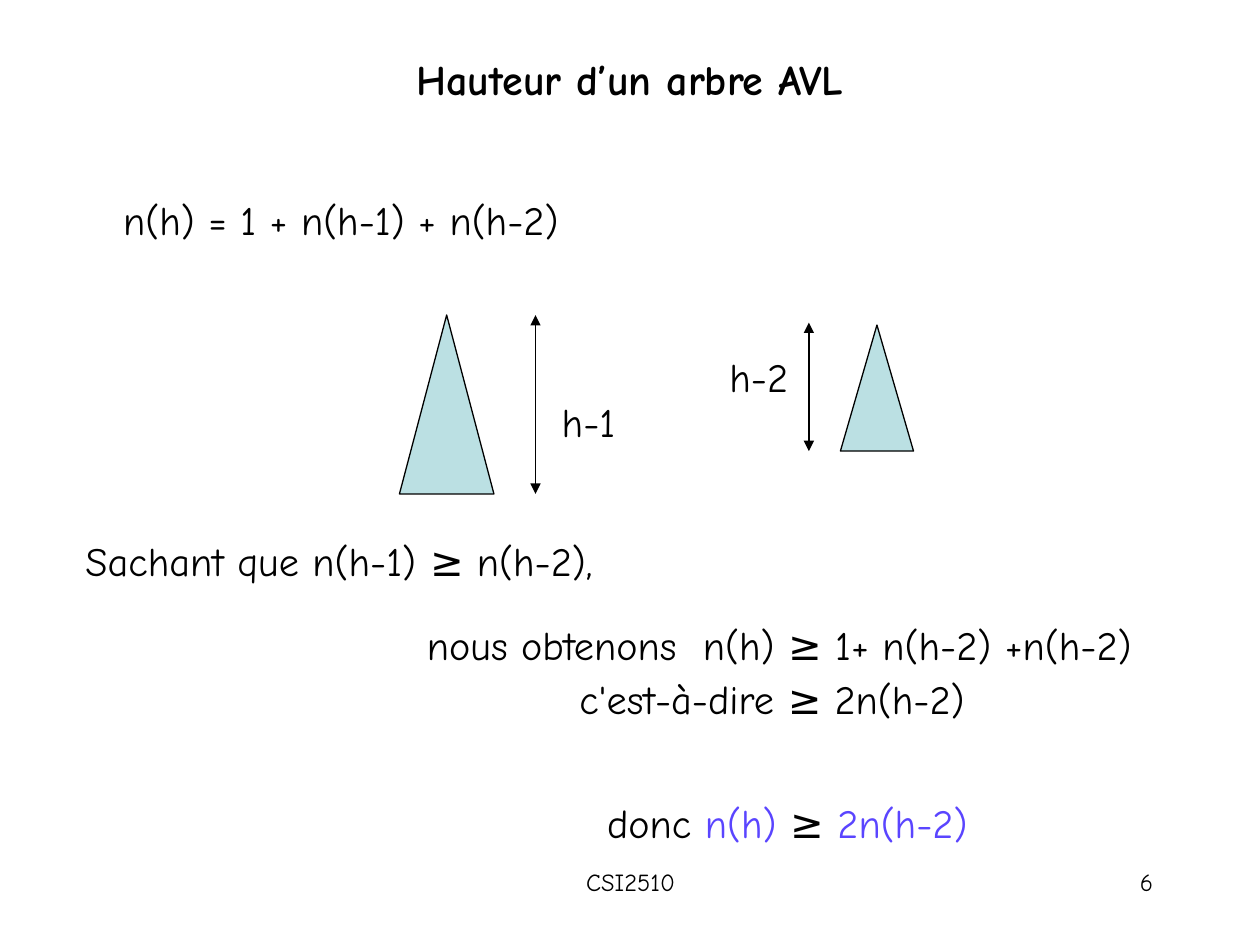
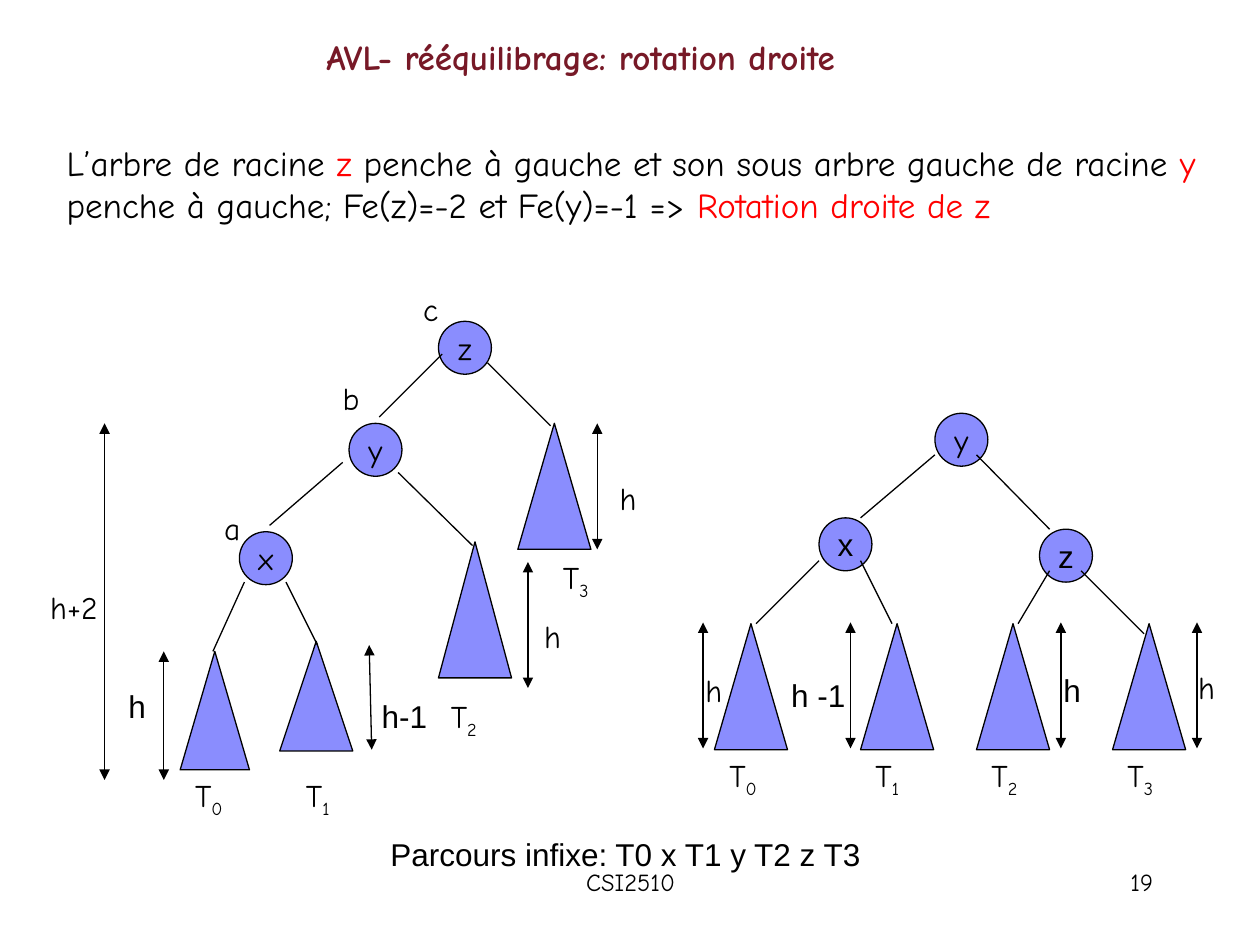
import pptx
import pptx.dml.color
import pptx.enum.shapes
import pptx.enum.text
import pptx.oxml
import pptx.oxml.ns
import pptx.util

COLORS = {
    "ink": "000000",
    "title": "771927",
    "accent": "5A45FF",
    "alert": "FF0000",
    "pale": "BBE0E3",
    "violet": "8A8DFE",
}
COMIC, ARIAL = "Comic Neue", "Arial"
SHAPES = pptx.enum.shapes.MSO_SHAPE
ALIGN = pptx.enum.text.PP_ALIGN
MIDDLE = pptx.enum.text.MSO_ANCHOR.MIDDLE
INK_RUN = {"size": 18, "name": COMIC, "bold": False, "color": "ink", "baseline": 0}
FORMULA = {"size": 23}
FORMULA_LINE = {"line_spacing": 0.9}
NODE_SIZE = 0.42
LABEL_WIDTH, LABEL_HEIGHT = 0.75, 0.4

LEFT_TREE = {
    "nodes": [("z", 3.48, 0.55, COMIC), ("y", 2.77, 1.36, COMIC), ("x", 1.9, 2.22, COMIC)],
    "subtrees": [
        (1.43, 3.17, 0.55, 0.94),
        (2.22, 3.09, 0.58, 0.87),
        (3.48, 2.3, 0.58, 1.08),
        (4.11, 1.36, 0.58, 1),
    ],
    "edges": [
        (3.51, 0.81, 3.01, 1.31),
        (3.87, 0.88, 4.37, 1.38),
        (2.72, 1.67, 2.14, 2.17),
        (3.16, 1.75, 3.75, 2.33),
        (1.94, 2.62, 1.69, 3.17),
        (2.27, 2.62, 2.52, 3.12),
    ],
    "heights": [
        (0.83, 1.36, 0.83, 4.19),
        (1.3, 3.17, 1.3, 4.19),
        (2.93, 3.12, 2.95, 3.95),
        (4.19, 2.46, 4.19, 3.46),
        (4.74, 1.36, 4.74, 2.36),
    ],
    "names": [(1.45, 4.11), (2.33, 4.11), (3.48, 3.48), (4.37, 2.38)],
    "labels": [
        ("a", 1.68, 1.99, COMIC),
        ("b", 2.62, 0.96, COMIC),
        ("c", 3.26, 0.25, COMIC),
        ("h+2", 0.3, 2.62, COMIC),
        ("h", 0.92, 3.4, ARIAL),
        ("h-1", 2.93, 3.48, ARIAL),
        ("h", 4.22, 2.85, COMIC),
        ("h", 4.82, 1.75, COMIC),
    ],
}
RIGHT_SUBTREES = (0.67, 1.83, 2.75, 3.83)
RIGHT_TREE = {
    "nodes": [("y", 2.42, 0.28, COMIC), ("x", 1.5, 1.11, ARIAL), ("z", 3.25, 1.2, ARIAL)],
    "subtrees": [(x, 1.95, 0.58, 1) for x in RIGHT_SUBTREES],
    "edges": [
        (2.42, 0.61, 1.83, 1.11),
        (2.75, 0.61, 3.33, 1.2),
        (1.5, 1.45, 1, 1.95),
        (1.83, 1.45, 2.08, 1.95),
        (3.33, 1.53, 3.08, 1.95),
        (3.58, 1.53, 4.08, 2.03),
    ],
    "heights": [(x, 1.94, x, 2.94) for x in (0.58, 1.75, 3.42, 4.5)],
    "names": [(x + 0.02, 2.95) for x in RIGHT_SUBTREES],
    "labels": [
        ("h", 0.5, 2.28, COMIC),
        ("h -1", 1.18, 2.32, ARIAL),
        ("h", 3.34, 2.28, ARIAL),
        ("h", 4.41, 2.25, COMIC),
    ],
}


def rgb(color):
    """Turn a palette name into a colour."""
    return pptx.dml.color.RGBColor.from_string(COLORS[color])


def inches(lengths):
    """Turn numbers into lengths."""
    return [pptx.util.Inches(length) for length in lengths]


def fill_paragraph(para, runs, base):
    """Write (text, format) runs in a paragraph over a base format."""
    for text, changes in runs:
        values = {**INK_RUN, **base, **changes}
        span = para.add_run()
        span.text = text
        font_values = {
            "size": pptx.util.Pt(values["size"]),
            "name": values["name"],
            "bold": values["bold"],
        }
        for key, value in font_values.items():
            setattr(span.font, key, value)
        span.font.color.rgb = rgb(values["color"])
        if values["baseline"]:
            span._r.get_or_add_rPr().set("baseline", str(values["baseline"]))


def add_text(page, box, runs, base=None, line=None, **frame_values):
    """Add a text box with one paragraph and return its frame."""
    frame = page.shapes.add_textbox(*inches(box)).text_frame
    for key, value in {"word_wrap": True, **frame_values}.items():
        setattr(frame, key, value)
    para = frame.paragraphs[0]
    for key, value in (line or {}).items():
        setattr(para, key, value)
    fill_paragraph(para, runs, base or {})
    return frame


def add_shape(page, kind, box, color):
    """Add a filled shape with a thin outline."""
    shape = page.shapes.add_shape(kind, *inches(box))
    shape.shadow.inherit = False
    shape.fill.solid()
    shape.fill.fore_color.rgb = rgb(color)
    shape.line.color.rgb = rgb("ink")
    shape.line.width = pptx.util.Pt(0.75)
    return shape


def add_line(page, ends, arrows=False):
    """Add a straight line, with an arrowhead at both ends if asked."""
    line = page.shapes.add_connector(
        pptx.enum.shapes.MSO_CONNECTOR.STRAIGHT, *inches(ends)
    )
    line.line.color.rgb = rgb("ink")
    line.line.width = pptx.util.Pt(0.75)
    properties = line._element.spPr
    properties.append(properties.makeelement(pptx.oxml.ns.qn("a:effectLst"), {}))
    if arrows:
        outline = line.line._get_or_add_ln()
        for end in ("a:headEnd", "a:tailEnd"):
            head = outline.makeelement(pptx.oxml.ns.qn(end), {"type": "triangle"})
            outline.append(head)


def add_tab_stop(para, position):
    """Add a left tab stop to a paragraph."""
    properties = para._p.get_or_add_pPr()
    stops = properties.makeelement(pptx.oxml.ns.qn("a:tabLst"), {})
    stop = {"pos": str(pptx.util.Inches(position)), "algn": "l"}
    stops.append(stops.makeelement(pptx.oxml.ns.qn("a:tab"), stop))
    properties.append(stops)


def add_page(deck, title, box, number, title_format, **frame_values):
    """Add a page with its title, course code and number."""
    page = deck.slides.add_slide(deck.slide_layouts[6])
    centered = {"alignment": ALIGN.CENTER}
    add_text(page, box, [(title, {"bold": True})], title_format, centered, **frame_values)
    footers = [
        ((3.42, 6.83, 3.17, 0.5), "CSI2510", ALIGN.CENTER),
        ((7.17, 6.83, 2.08, 0.5), number, ALIGN.RIGHT),
    ]
    for footer_box, text, alignment in footers:
        add_text(page, footer_box, [(text, {})], {"size": 14}, {"alignment": alignment})
    return page


def draw_measured_subtree(page, box, arrow, label, label_place):
    """Draw a subtree in its box, with its height arrow and label beside it."""
    left, top, width, height = box
    arrow_shift, arrow_rise = arrow
    label_shift, label_drop = label_place
    add_shape(page, SHAPES.ISOSCELES_TRIANGLE, box, "pale")
    arrow_x = left + arrow_shift
    add_line(page, (arrow_x, top - arrow_rise, arrow_x, top + height), True)
    label_box = (left + label_shift, top + label_drop, LABEL_WIDTH, 0.49)
    add_text(page, label_box, [(label, {})], FORMULA)


def draw_derivation(page, box):
    """Write the two lines of the inequality in their box."""
    frame = add_text(page, box, [])
    first, second = frame.paragraphs[0], frame.add_paragraph()
    add_tab_stop(first, 2.19)
    second._p.get_or_add_pPr().set("marL", str(pptx.util.Inches(1.21)))
    second.space_before = pptx.util.Pt(5.8)
    lines = [
        (first, "nous obtenons\tn(h) ≥ 1+ n(h-2) +n(h-2)"),
        (second, "c'est-à-dire ≥ 2n(h-2)"),
    ]
    for para, text in lines:
        para.line_spacing = 0.9
        fill_paragraph(para, [(text, {})], FORMULA)


def build_height_page(deck):
    """Build the page on the height of an AVL tree."""
    page = add_page(deck, "Hauteur d’un arbre AVL", (0.75, 0, 8.5, 1.25), "6",
                    {"size": 24}, vertical_anchor=MIDDLE)
    add_text(page, (0.88, 1.5, 3.8, 0.49), [("n(h) = 1 + n(h-1) + n(h-2)", {})], FORMULA)
    draw_measured_subtree(page, (3.17, 2.5, 0.75, 1.42), (1.08, 0), "h-1", (1.19, 0.6))
    draw_measured_subtree(page, (6.67, 2.58, 0.58, 1), (-0.25, 0.02), "h-2", (-0.98, 0.17))
    add_text(page, (0.58, 4.25, 4.75, 0.75), [("Sachant que n(h-1) ≥ n(h-2),", {})],
             FORMULA, FORMULA_LINE)
    draw_derivation(page, (3.29, 4.92, 5.87, 0.87))
    conclusion = [
        ("donc ", {}),
        ("n(h) ", {"color": "accent"}),
        ("≥", {}),
        (" 2n(h-2)", {"color": "accent"}),
    ]
    add_text(page, (4.72, 6.33, 3.2, 0.45), conclusion, FORMULA, FORMULA_LINE)


def draw_node(page, box, label, font):
    """Draw a round tree node with its label."""
    node = add_shape(page, SHAPES.OVAL, box, "violet")
    node.text_frame.word_wrap = False
    node.text_frame.vertical_anchor = MIDDLE
    para = node.text_frame.paragraphs[0]
    para.alignment = ALIGN.CENTER
    fill_paragraph(para, [(label, {"name": font})], {})


def draw_tree(page, origin, tree):
    """Draw a tree whose places are relative to its origin."""
    left, top = origin
    for label, x, y, font in tree["nodes"]:
        draw_node(page, (left + x, top + y, NODE_SIZE, NODE_SIZE), label, font)
    for x, y, width, height in tree["subtrees"]:
        box = (left + x, top + y, width, height)
        add_shape(page, SHAPES.ISOSCELES_TRIANGLE, box, "violet")
    for kind, arrows in (("edges", False), ("heights", True)):
        for x1, y1, x2, y2 in tree[kind]:
            add_line(page, (left + x1, top + y1, left + x2, top + y2), arrows)
    for index, (x, y) in enumerate(tree["names"]):
        runs = [("T", {}), (str(index), {"baseline": -25000})]
        add_text(page, (left + x, top + y, 0.56, 0.44), runs)
    for label, x, y, font in tree["labels"]:
        box = (left + x, top + y, LABEL_WIDTH, LABEL_HEIGHT)
        add_text(page, box, [(label, {"name": font})])


def build_rotation_page(deck):
    """Build the page on the right rotation."""
    page = add_page(deck, "AVL- rééquilibrage: rotation droite", (0.36, 0.23, 8.5, 0.84),
                    "19", {"size": 20, "color": "title"})
    red = {"color": "alert"}
    statement = [
        ("L’arbre de racine ", {}),
        ("z", red),
        (" penche à gauche et son sous arbre gauche de racine ", {}),
        ("y", red),
        (" penche à gauche; Fe(z)=-2 et Fe(y)=-1 => ", {}),
        ("Rotation droite de z", red),
    ]
    add_text(page, (0.43, 1.07, 9.21, 0.77), statement, {"size": 20})
    draw_tree(page, (0, 2), LEFT_TREE)
    draw_tree(page, (5, 3), RIGHT_TREE)
    traversal = [("Parcours infixe: T0 x T1 y T2 z T3", {"name": ARIAL})]
    add_text(page, (3, 6.58, 4.1, LABEL_HEIGHT), traversal)


def main():
    """Build and save the deck."""
    deck = pptx.Presentation()
    deck.slide_width, deck.slide_height = inches((10, 7.5))
    build_height_page(deck)
    build_rotation_page(deck)
    deck.save("out.pptx")


if __name__ == "__main__":
    main()
